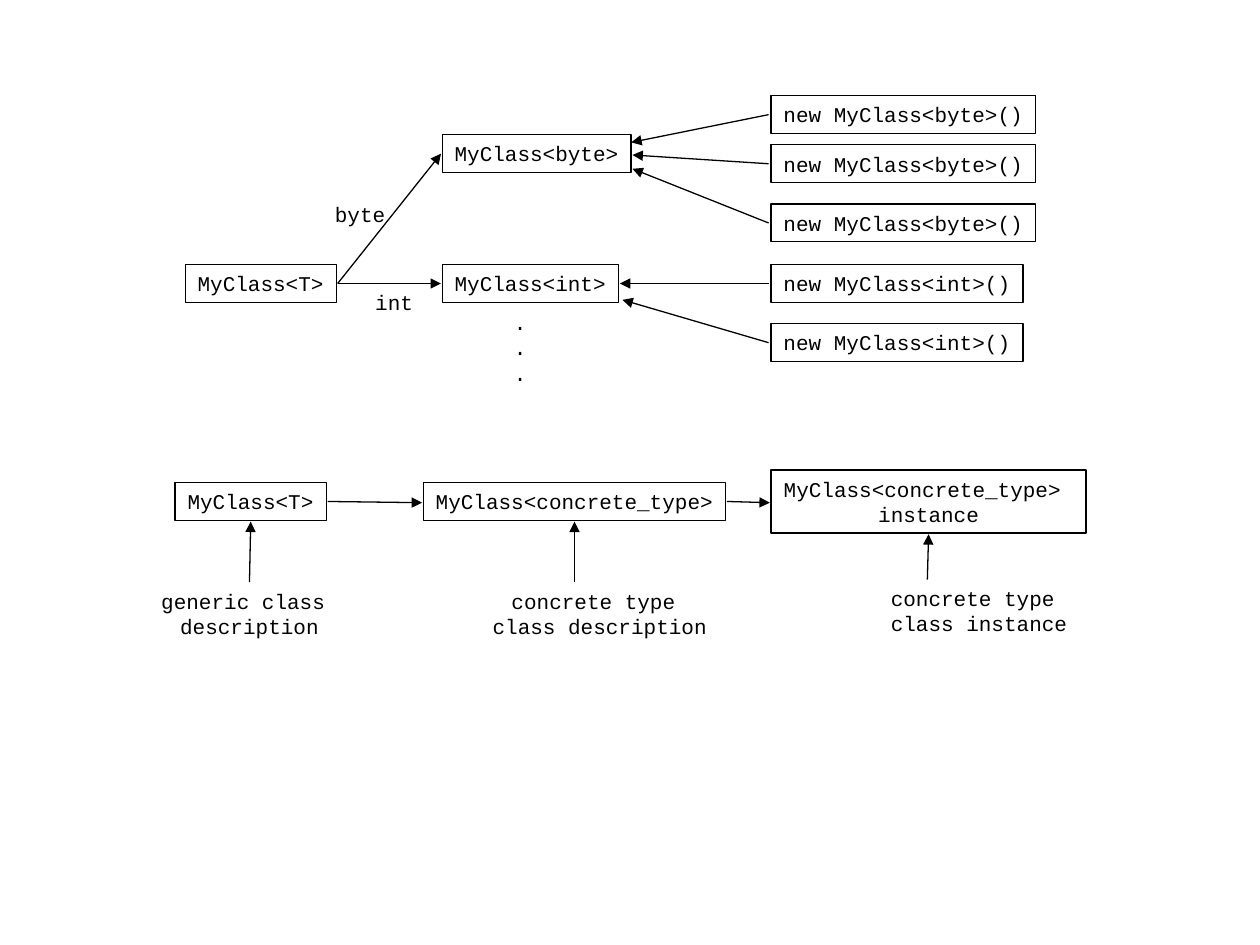
import pptx
import pptx.util
import pptx.dml.color
import pptx.enum.shapes
import pptx.enum.text
import pptx.oxml
import pptx.oxml.ns
import lxml.etree

Inches = pptx.util.Inches
hue = pptx.dml.color.RGBColor.from_string
Align = pptx.enum.text.PP_ALIGN
INK = "000000"


def add_text(group, text, left, top, frame=False, align=Align.LEFT):
    """Size the box from its text: 0.1 in per letter, 0.2 in per line."""
    lines = text.replace("\v", "\n").split("\n")
    size = (Inches(0.2 + 0.1 * max(len(line) for line in lines)),
            Inches(0.1 + 0.2 * len(lines)))
    place = (Inches(left), Inches(top))
    if frame:
        kind = pptx.enum.shapes.MSO_SHAPE.RECTANGLE
        box = group.shapes.add_shape(kind, *place, *size)
        box.shadow.inherit = False
        box.fill.background()
        box.line.color.rgb = hue(INK)
        box.line.width = pptx.util.Pt(0.75)
    else:
        box = group.shapes.add_textbox(*place, *size)
    body = box.text_frame
    body.text = text
    body.word_wrap = False
    body.auto_size = pptx.enum.text.MSO_AUTO_SIZE.SHAPE_TO_FIT_TEXT
    body.vertical_anchor = pptx.enum.text.MSO_ANCHOR.TOP
    for para in body.paragraphs:
        para.alignment = align
        for run in para.runs:
            run.font.name = "Courier New"
            run.font.size = pptx.util.Pt(12)
            run.font.color.rgb = hue(INK)


def add_arrow(group, x1, y1, x2, y2):
    kind = pptx.enum.shapes.MSO_CONNECTOR.STRAIGHT
    ends = [Inches(n) for n in (x1, y1, x2, y2)]
    arrow = group.shapes.add_connector(kind, *ends)
    arrow.line.color.rgb = hue(INK)
    arrow.line.width = pptx.util.Pt(0.75)
    qn = pptx.oxml.ns.qn
    props = arrow.element.spPr
    tip = lxml.etree.SubElement(props.find(qn("a:ln")), qn("a:tailEnd"))
    tip.set("type", "triangle")
    lxml.etree.SubElement(props, qn("a:effectLst"))


deck = pptx.Presentation()
deck.slide_width, deck.slide_height = Inches(10), Inches(7.5)
slide = deck.slides.add_slide(deck.slide_layouts[6])

# Upper tree: generic class and its concrete types
tree = slide.shapes.add_group_shape()
add_text(tree, "MyClass<T>", 1.47, 2.1, frame=True)
for name, top, left, label_top in [("byte", 1.07, 2.56, 1.55),
                                   ("int", 2.1, 2.88, 2.25)]:
    add_text(tree, f"MyClass<{name}>", 3.51, top, frame=True)
    add_arrow(tree, 2.68, 2.25, 3.5, top + 0.15)
    add_text(tree, name, left, label_top)
add_text(tree, ".\n.\n.", 3.98, 2.41)

# Instances, each with an arrow back to its type
for name, top, x, y in [("byte", 0.76, 5.01, 1.13),
                        ("byte", 1.15, 5.02, 1.23),
                        ("byte", 1.62, 5.02, 1.34),
                        ("int", 2.1, 4.92, 2.25),
                        ("int", 2.57, 4.94, 2.38)]:
    add_text(tree, f"new MyClass<{name}>()", 6.12, top, frame=True)
    add_arrow(tree, 6.1, top + 0.15, x, y)

# Lower chain: class, concrete type, instance
chain = slide.shapes.add_group_shape()
add_text(chain, "MyClass<T>", 1.39, 3.83, frame=True)
add_text(chain, "MyClass<concrete_type>", 3.36, 3.83, frame=True)
add_text(chain, "MyClass<concrete_type> \vinstance", 6.12, 3.73,
         frame=True, align=Align.CENTER)
for start, end in [(2.6, 3.35), (5.77, 6.11)]:
    add_arrow(chain, start, 3.98, end, 3.99)

# Captions pointing up at the chain
for text, left, top, x, tip_x, tip_y in [
        ("generic class \ndescription", 1.18, 4.62, 1.98, 1.99, 4.14),
        ("concrete type\v class description", 3.71, 4.62, 4.56, 4.56, 4.14),
        ("concrete type\v class instance", 6.87, 4.6, 7.36, 7.37, 4.24)]:
    add_text(chain, text, left, top, align=Align.CENTER)
    add_arrow(chain, x, top, tip_x, tip_y)

deck.save("out.pptx")
